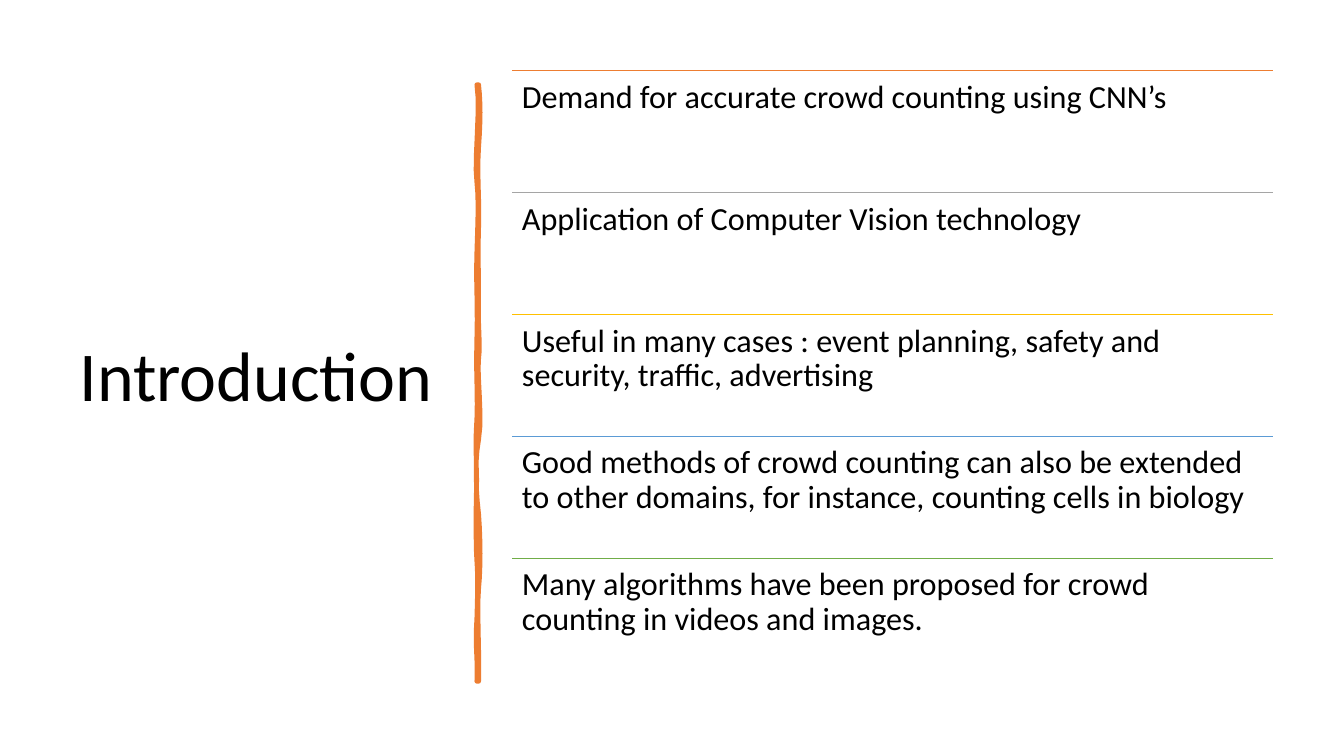
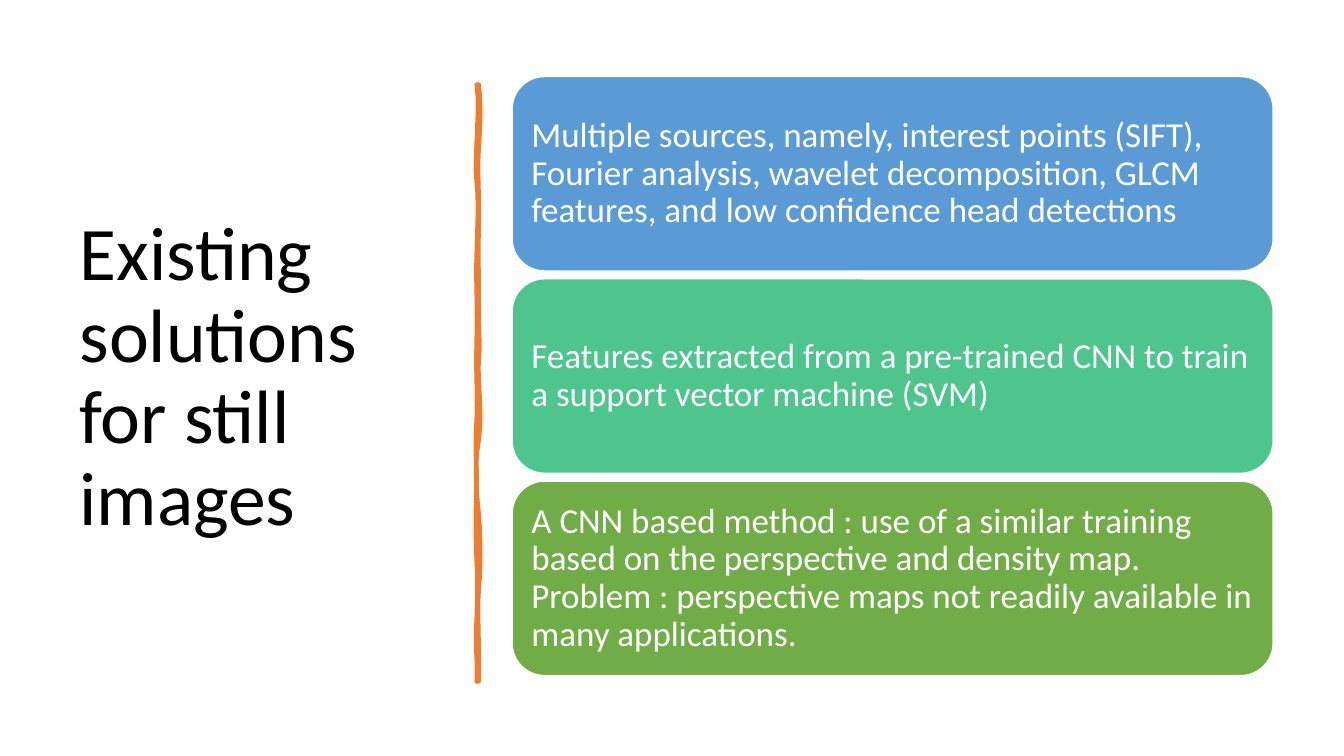
import itertools

import lxml.etree
import pptx
import pptx.dml.color
import pptx.enum.shapes
import pptx.enum.text
import pptx.oxml.ns
import pptx.util

Pt = pptx.util.Pt
ANCHOR = pptx.enum.text.MSO_ANCHOR
BLACK, WHITE, ORANGE = "000000", "FFFFFF", "ED7D31"
BLUE, GREEN = "5B9BD5", "70AD47"
FONT = "Calibri"
LEFT, WIDTH = 365.8, 543.6  # content column
INSET = 7

# Bezier chain round the hand-drawn bar: a start, then three points per curve
BAR_OUTLINE = [
    (342, 60.5),
    (343.4, 73.4), (343.4, 85.7), (342, 105.1),
    (340.6, 124.6), (342.7, 140.4), (342, 162.7),
    (341.3, 185), (342, 188.6), (342, 211.7),
    (341.3, 234), (343.4, 246.2), (342, 256.3),
    (340.6, 266.4), (344.9, 298.1), (342, 313.9),
    (339.1, 329), (339.8, 348.5), (342, 367.2),
    (343.4, 385.9), (343.4, 406.1), (342, 420.5),
    (340.6, 434.2), (342.7, 468), (342, 486.7),
    (341.3, 486.7), (340.6, 486.7), (340.6, 486.7),
    (341.3, 465.1), (339.1, 463.7), (340.6, 441.4),
    (341.3, 419.8), (341.3, 410.4), (340.6, 401),
    (339.8, 391.7), (339.8, 356.4), (340.6, 343.4),
    (340.6, 330.5), (339.1, 320.4), (340.6, 298.8),
    (341.3, 277.9), (339.8, 268.6), (340.6, 241.2),
    (341.3, 214.6), (339.8, 202.3), (340.6, 180),
    (341.3, 157), (342, 144), (340.6, 130.3),
    (338.4, 117.4), (343.4, 74.9), (340.6, 60.5),
]
CURVE_STEPS = 6

INTRODUCTION_ROWS = [
    (ORANGE, "Demand for accurate crowd counting using CNN’s"),
    ("A5A5A5", "Application of Computer Vision technology"),
    ("FFC000", "Useful in many cases : event planning, safety and security, "
               "traffic, advertising"),
    (BLUE, "Good methods of crowd counting can also be extended to other "
           "domains, for instance, counting cells in biology"),
    (GREEN, "Many algorithms have been proposed for crowd counting in videos "
            "and images."),
]
SOLUTION_CARDS = [
    (BLUE, "Multiple sources, namely, interest points (SIFT), Fourier analysis, "
           "wavelet decomposition, GLCM features, and low confidence head detections"),
    ("4DC58D", "Features extracted from a pre-trained CNN to train a support "
               "vector machine (SVM)"),
    (GREEN, "A CNN based method : use of a similar training based on the "
            "perspective and density map. Problem : perspective maps not readily "
            "available in many applications."),
]


def color(hex_string):
    return pptx.dml.color.RGBColor.from_string(hex_string)


def write(shape, text, size, text_color, anchor, inset=None):
    """Set wrapped, left-aligned text in a shape; inset None keeps the default."""
    frame = shape.text_frame
    settings = {"word_wrap": True, "vertical_anchor": anchor}
    if inset is not None:
        for side in ("left", "top", "right", "bottom"):
            settings[f"margin_{side}"] = Pt(inset)
    for name, value in settings.items():
        setattr(frame, name, value)
    paragraph = frame.paragraphs[0]
    paragraph.text = text
    paragraph.alignment = pptx.enum.text.PP_ALIGN.LEFT
    paragraph.line_spacing = 0.9
    for name, value in {"name": FONT, "size": Pt(size)}.items():
        setattr(paragraph.font, name, value)
    paragraph.font.color.rgb = color(text_color)


presentation = pptx.Presentation()
presentation.slide_width, presentation.slide_height = Pt(960), Pt(540)

bar_points = [BAR_OUTLINE[0]]
for first in range(0, len(BAR_OUTLINE) - 1, 3):
    curve = BAR_OUTLINE[first:first + 4]
    for step in range(1, CURVE_STEPS + 1):
        t = step / CURVE_STEPS
        weights = ((1 - t) ** 3, 3 * t * (1 - t) ** 2, 3 * t * t * (1 - t), t ** 3)
        bar_points.append(tuple(
            sum(weight * point[axis] for weight, point in zip(weights, curve))
            for axis in (0, 1)))
bar_vertices = [(Pt(x), Pt(y)) for x, y in bar_points]

# Both slides: title on the left and the vertical bar
slides = []
for title, size in (("Introduction", 50), ("Existing solutions for still images", 54)):
    slide = presentation.slides.add_slide(presentation.slide_layouts[6])
    slides.append(slide)
    title_box = slide.shapes.add_textbox(Pt(49.7), Pt(50.4), Pt(269.3), Pt(440))
    write(title_box, title, size, BLACK, ANCHOR.MIDDLE)
    builder = slide.shapes.build_freeform(*bar_vertices[0], scale=1.0)
    builder.add_line_segments(bar_vertices[1:], close=True)
    bar = builder.convert_to_shape()
    bar.shadow.inherit = False
    bar.fill.solid()
    bar.fill.fore_color.rgb = color(ORANGE)
    bar.line.color.rgb = color(ORANGE)
    bar.line.width = Pt(3.25)
    lxml.etree.SubElement(bar.line._get_or_add_ln(), pptx.oxml.ns.qn("a:round"))
introduction, solutions = slides

# Introduction: ruled rows
ROW_HEIGHT = 87.1
for (rule_color, text), top in zip(INTRODUCTION_ROWS, itertools.count(50.4, ROW_HEIGHT)):
    rule = introduction.shapes.add_connector(
        pptx.enum.shapes.MSO_CONNECTOR.STRAIGHT,
        Pt(LEFT), Pt(top), Pt(LEFT + WIDTH), Pt(top))
    rule.line.color.rgb = color(rule_color)
    rule.line.width = Pt(1)
    lxml.etree.SubElement(rule._element.spPr, pptx.oxml.ns.qn("a:effectLst"))
    row = introduction.shapes.add_textbox(Pt(LEFT), Pt(top), Pt(WIDTH), Pt(ROW_HEIGHT))
    write(row, text, 23, BLACK, ANCHOR.TOP, INSET)

# Existing solutions: stacked cards
CARD_HEIGHT, CARD_GAP = 138.9, 5.6
for (card_color, text), top in zip(
        SOLUTION_CARDS, itertools.count(54.7, CARD_HEIGHT + CARD_GAP)):
    card = solutions.shapes.add_shape(
        pptx.enum.shapes.MSO_SHAPE.ROUNDED_RECTANGLE,
        Pt(LEFT), Pt(top), Pt(WIDTH), Pt(CARD_HEIGHT))
    card.shadow.inherit = False
    card.fill.solid()
    card.fill.fore_color.rgb = color(card_color)
    card.line.color.rgb = color(WHITE)
    card.line.width = Pt(1)
    write(card, text, 25, WHITE, ANCHOR.MIDDLE, INSET)

presentation.save("out.pptx")
